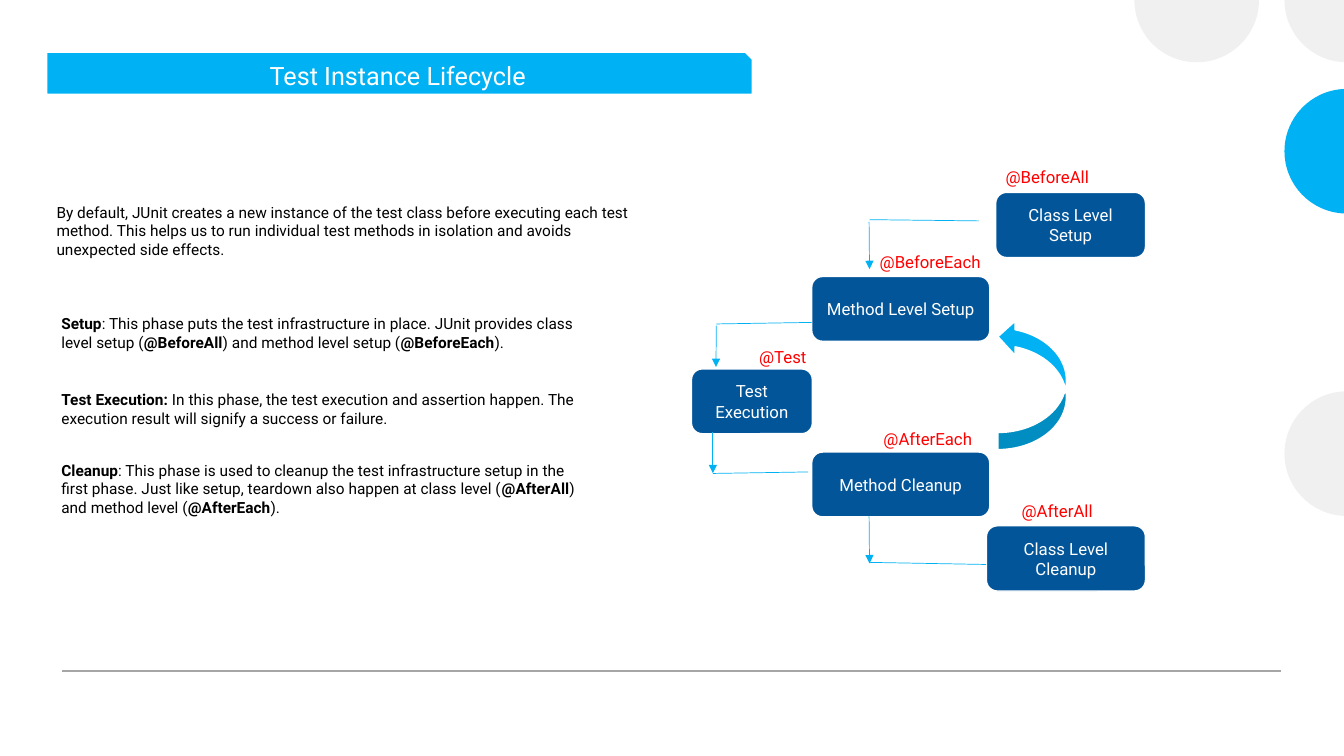
from math import acos, cos, pi, sin, tan

from pptx import Presentation
from pptx.dml.color import RGBColor
from pptx.enum.shapes import MSO_CONNECTOR as Connector, MSO_SHAPE as Shape
from pptx.enum.text import MSO_ANCHOR as Anchor, MSO_AUTO_SIZE as AutoSize, PP_ALIGN as Align
from pptx.oxml.ns import qn
from pptx.util import Pt
from lxml.etree import SubElement

WIDTH, HEIGHT = 960, 540
FONT = "Roboto"
COLORS = {"sky": "00B2F3", "navy": "035599", "pale": "EFF0EF", "rule": "A6A6A6",
          "label": "FF0000", "body": "000000", "white": "FFFFFF"}

TITLE = ("Test Instance Lifecycle", (33.4, 37.2, 504, 30.2))

# Center x, center y, color
CIRCLES = [(854.8, 0, "pale"), (962, 324, "pale"), (962, 108, "sky"), (962, 0, "pale")]
RADIUS = 44.5
UNITS = 100  # outline units per point

# Text with **bold** parts, then left, top, width, height
PARAGRAPHS = [
    ("**Cleanup**: This phase is used to cleanup the test infrastructure setup in the first "
     "phase. Just like setup, teardown also happen at class level (**@AfterAll**) and method "
     "level (**@AfterEach**).", (36.75, 325.6, 392.5, 47.3)),
    ("**Setup**: This phase puts the test infrastructure in place. JUnit provides class level "
     "setup (**@BeforeAll**) and method level setup (**@BeforeEach**).",
     (36.75, 221, 395.5, 33.9)),
    ("**Test Execution:** In this phase, the test execution and assertion happen. The "
     "execution result will signify a success or failure.", (36.75, 275.2, 411, 33.9)),
    ("By default, JUnit creates a new instance of the test class before executing each test "
     "method. This helps us to run individual test methods in isolation and avoids "
     "unexpected side effects.", (33.3, 141.2, 440, 47.3)),
]

# Phase, its box, annotation, annotation's left, top, width
PHASES = [
    ("Class Level Setup", (711.2, 137.4, 107, 46.6), "@BeforeAll", (711.2, 115.7, 91)),
    ("Method Level Setup", (579.8, 197.5, 127.2, 46.3), "@BeforeEach", (621.3, 176.6, 94.3)),
    ("Test Execution", (493.9, 263.5, 86.4, 46.3), "@Test", (535.2, 244.3, 91)),
    ("Method Cleanup", (579.8, 322.9, 127.2, 46.3), "@AfterEach", (624, 302.6, 91)),
    ("Class Level Cleanup", (704.6, 375.6, 113.6, 46.6), "@AfterAll", (722.7, 354.2, 91)),
]
LABEL_HEIGHT = 21.8

# Arrow start and end, then the plain line that completes the bend
BENDS = [
    (((620.8, 158.4), (621.1, 192.2)), ((621.1, 156.9), (699.2, 157.8))),
    (((511.7, 232.6), (511.4, 262.1)), ((511.7, 231.4), (579.8, 230.3))),
    (((509.2, 308.5), (509.2, 338)), ((509.2, 338.2), (577.3, 337.1))),
    (((620.8, 368.8), (621.1, 402.4)), ((621.1, 401.7), (704.4, 403.2))),
]
LOOP_ARROW = (712.9, 228.2, 48.8, 92.9)
FOOTER_RULE = ((44.4, 479.3), (914.9, 479.3))


def rgb(color):
    return RGBColor.from_string(COLORS[color])


def points(values):
    return [Pt(value) for value in values]


def set_font(font, size, color):
    font.name, font.size = FONT, Pt(size)
    font.color.rgb = rgb(color)


def paint(shape, color, outline=None):
    shape.shadow.inherit = False
    shape.fill.solid()
    shape.fill.fore_color.rgb = rgb(color)
    if outline:
        shape.line.color.rgb = rgb(outline)
        shape.line.width = Pt(1)
    else:
        shape.line.fill.background()


def bend_to_arcs(shape, angles):
    """Turn the outline's first straight sides into arcs between the given angles."""
    nodes = [(int(node.get("x")), int(node.get("y")))
             for node in shape._element.iter(qn("a:pt"))]
    sides = list(shape._element.iter(qn("a:lnTo")))
    for i, (start, end) in enumerate(zip(angles, angles[1:])):
        reach = 4 / 3 * tan((end - start) / 4) * RADIUS * UNITS
        (x1, y1), (x2, y2) = nodes[i:i + 2]
        side = sides[i]
        curve = side.makeelement(qn("a:cubicBezTo"))
        for x, y in [(x1 - reach * sin(start), y1 + reach * cos(start)),
                     (x2 + reach * sin(end), y2 - reach * cos(end)), (x2, y2)]:
            SubElement(curve, qn("a:pt"), x=str(round(x)), y=str(round(y)))
        side.getparent().replace(side, curve)


def add_circle(shapes, x, y, color):
    """Draw the part of a circle that lies inside the slide."""
    past_right = x + RADIUS > WIDTH
    first = acos((WIDTH - x) / RADIUS) if past_right else 0
    if y > 0:
        angles = [first, pi, 2 * pi - first]
    else:
        angles = [first, pi] if past_right else [0, pi / 2, pi]
    outline = [(round((x + RADIUS * cos(angle)) * UNITS),
                round((y + RADIUS * sin(angle)) * UNITS)) for angle in angles]
    if past_right and y == 0:
        outline.append((WIDTH * UNITS, 0))
    builder = shapes.build_freeform(*outline[0], scale=Pt(1) / UNITS)
    builder.add_line_segments(outline[1:], close=True)
    circle = builder.convert_to_shape()
    bend_to_arcs(circle, angles)
    paint(circle, color)


def add_box(shapes, kind, frame, color, text="", size=12):
    box = shapes.add_shape(kind, *points(frame))
    paint(box, color, "white")
    if text:
        box.text_frame.word_wrap = True
        box.text_frame.vertical_anchor = Anchor.MIDDLE
        paragraph = box.text_frame.paragraphs[0]
        paragraph.text, paragraph.alignment = text, Align.CENTER
        set_font(paragraph.font, size, "white")
    return box


def add_text(shapes, text, frame, size, color):
    """Add a text box; parts between ** are bold."""
    text_frame = shapes.add_textbox(*points(frame)).text_frame
    text_frame.word_wrap = True
    text_frame.auto_size = AutoSize.SHAPE_TO_FIT_TEXT
    paragraph = text_frame.paragraphs[0]
    set_font(paragraph.font, size, color)
    for i, part in enumerate(text.split("**")):
        if part:
            run = paragraph.add_run()
            run.text = part
            if i % 2:
                run.font.bold = True


def add_line(shapes, start, end, color, width, arrow=False):
    line = shapes.add_connector(Connector.STRAIGHT, *points(start + end))
    line.line.color.rgb = rgb(color)
    line.line.width = Pt(width)
    if arrow:
        SubElement(line.line._get_or_add_ln(), qn("a:tailEnd"), type="triangle")
    SubElement(line._element.spPr, qn("a:effectLst"))


def main():
    deck = Presentation()
    deck.slide_width, deck.slide_height = Pt(WIDTH), Pt(HEIGHT)
    shapes = deck.slides.add_slide(deck.slide_layouts[6]).shapes

    for circle in CIRCLES:
        add_circle(shapes, *circle)
    add_line(shapes, *FOOTER_RULE, "rule", 1)
    title, title_frame = TITLE
    add_box(shapes, Shape.SNIP_1_RECTANGLE, title_frame, "sky", title, 18)

    for phase, frame, _, _ in PHASES:
        add_box(shapes, Shape.ROUNDED_RECTANGLE, frame, "navy", phase)
    for _, _, annotation, place in PHASES:
        add_text(shapes, annotation, (*place, LABEL_HEIGHT), 12, "label")
    for text, frame in PARAGRAPHS:
        add_text(shapes, text, frame, 11, "body")

    add_box(shapes, Shape.CURVED_RIGHT_ARROW, LOOP_ARROW, "sky").rotation = 180
    for arrow, plain in BENDS:
        add_line(shapes, *arrow, "sky", 0.5, arrow=True)
        add_line(shapes, *plain, "sky", 0.5)

    deck.save("out.pptx")


if __name__ == "__main__":
    main()
